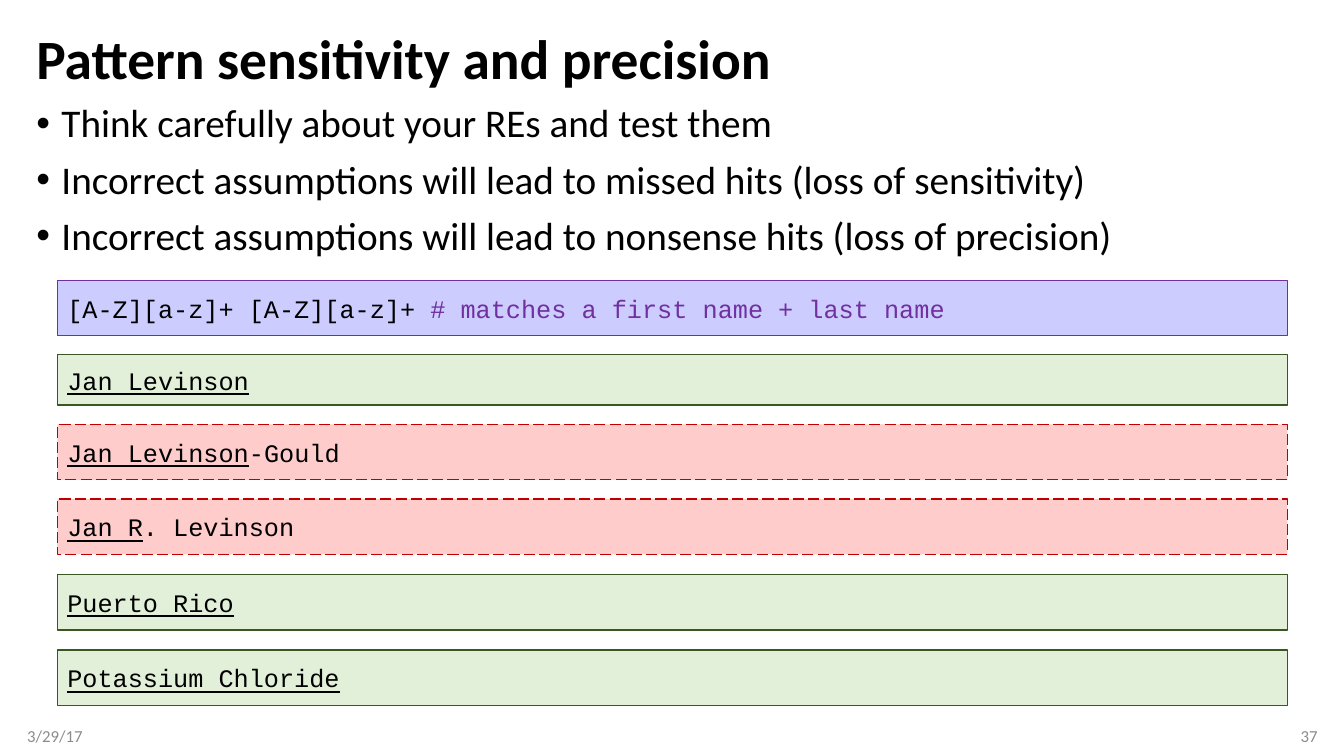
from lxml.etree import SubElement
from pptx import Presentation
from pptx.dml.color import RGBColor
from pptx.enum.dml import MSO_LINE
from pptx.enum.shapes import MSO_SHAPE
from pptx.enum.text import MSO_ANCHOR, MSO_AUTO_SIZE, PP_ALIGN
from pptx.oxml.ns import qn
from pptx.util import Inches, Pt

HUES = {
    "ink": "000000", "gray": "8C8C8C", "note": "7030A0",
    "code": "CCCCFF", "hit": "E2F0D9", "leaf": "385723",
    "miss": "FFCCCC", "red": "C00000",
}
HEAD = {"name": "Calibri", "size": Pt(39.6), "bold": True}
LIST = {"name": "Calibri", "size": Pt(28)}
FOOT = {"name": "Calibri", "size": Pt(12)}
MONO = {"name": "Courier New", "size": Pt(18)}
LINED = {**MONO, "underline": True}
KINDS = {
    "code": ("code", "note", MSO_LINE.SOLID),
    "hit": ("hit", "leaf", MSO_LINE.SOLID),
    "miss": ("miss", "red", MSO_LINE.LONG_DASH),
}
POINTS = [
    "Think carefully about your REs and test them",
    "Incorrect assumptions will lead to missed hits (loss of sensitivity)",
    "Incorrect assumptions will lead to nonsense hits (loss of precision)",
]
BARS = [
    ("code", 2.78, 0.55, [("[A-Z][a-z]+ [A-Z][a-z]+ ", MONO, "ink"),
                          ("# matches a first name + last name", MONO, "note")]),
    ("hit", 3.52, 0.5, [("Jan Levinson", LINED, "ink")]),
    ("miss", 4.21, 0.55, [("Jan Levinson", LINED, "ink"), ("-Gould", MONO, "ink")]),
    ("miss", 4.95, 0.55, [("Jan R", LINED, "ink"), (". Levinson", MONO, "ink")]),
    ("hit", 5.7, 0.55, [("Puerto Rico", LINED, "ink")]),
    ("hit", 6.45, 0.55, [("Potassium Chloride", LINED, "ink")]),
]


def hue(key):
    return RGBColor.from_string(HUES[key])


def apply(item, form):
    for key, value in form.items():
        setattr(item, key, value)


def write(para, text, form, key="ink"):
    run = para.add_run()
    run.text = text
    apply(run.font, form)
    run.font.color.rgb = hue(key)


def place(shape, left, top, width, height):
    apply(shape, {"left": Inches(left), "top": Inches(top),
                  "width": Inches(width), "height": Inches(height)})


def frame(shape, anchor):
    text = shape.text_frame
    apply(text, {
        "word_wrap": True, "auto_size": MSO_AUTO_SIZE.NONE,
        "vertical_anchor": anchor,
        "margin_left": Inches(0.1), "margin_right": Inches(0.1),
        "margin_top": Inches(0.05), "margin_bottom": Inches(0.05),
    })
    return text


def title(slide, text):
    shape = slide.shapes.title
    place(shape, 0.26, 0.25, 12.81, 0.72)
    para = frame(shape, MSO_ANCHOR.MIDDLE).paragraphs[0]
    apply(para, {"alignment": PP_ALIGN.LEFT, "line_spacing": 0.9})
    write(para, text, HEAD)


def bullet(para):
    props = para._p.get_or_add_pPr()
    props.set("marL", str(Inches(0.25)))
    props.set("indent", str(-Inches(0.25)))
    SubElement(props, qn("a:buFont")).set("typeface", "Arial")
    SubElement(props, qn("a:buChar")).set("char", "•")


def body(slide, lines):
    shape = slide.placeholders[1]
    place(shape, 0.26, 0.98, 12.81, 1.07)
    text = frame(shape, MSO_ANCHOR.TOP)
    for index, line in enumerate(lines):
        para = text.add_paragraph() if index else text.paragraphs[0]
        bullet(para)
        apply(para, {"line_spacing": 0.9, "space_before": Pt(10 if index else 0)})
        write(para, line, LIST)


def foot(slide, left, text, side, align):
    shape = slide.shapes.add_textbox(
        Inches(left), Inches(7.1), Inches(3), Inches(0.4))
    area = frame(shape, MSO_ANCHOR.MIDDLE)
    apply(area, {side: 0})
    para = area.paragraphs[0]
    para.alignment = align
    write(para, text, FOOT, "gray")


def bar(slide, kind, top, height, parts):
    fill, edge, dash = KINDS[kind]
    shape = slide.shapes.add_shape(
        MSO_SHAPE.RECTANGLE, Inches(0.57), Inches(top), Inches(12.2), Inches(height))
    shape.shadow.inherit = False
    shape.fill.solid()
    shape.fill.fore_color.rgb = hue(fill)
    shape.line.color.rgb = hue(edge)
    apply(shape.line, {"width": Pt(1), "dash_style": dash})
    para = frame(shape, MSO_ANCHOR.MIDDLE).paragraphs[0]
    para.alignment = PP_ALIGN.LEFT
    for part in parts:
        write(para, *part)


def main():
    deck = Presentation()
    apply(deck, {"slide_width": Inches(13.33), "slide_height": Inches(7.5)})
    slide = deck.slides.add_slide(deck.slide_layouts[1])
    title(slide, "Pattern sensitivity and precision")
    body(slide, POINTS)
    foot(slide, 0.27, "3/29/17", "margin_left", PP_ALIGN.LEFT)
    foot(slide, 10.07, "37", "margin_right", PP_ALIGN.RIGHT)
    for row in BARS:
        bar(slide, *row)
    deck.save("out.pptx")


if __name__ == "__main__":
    main()
